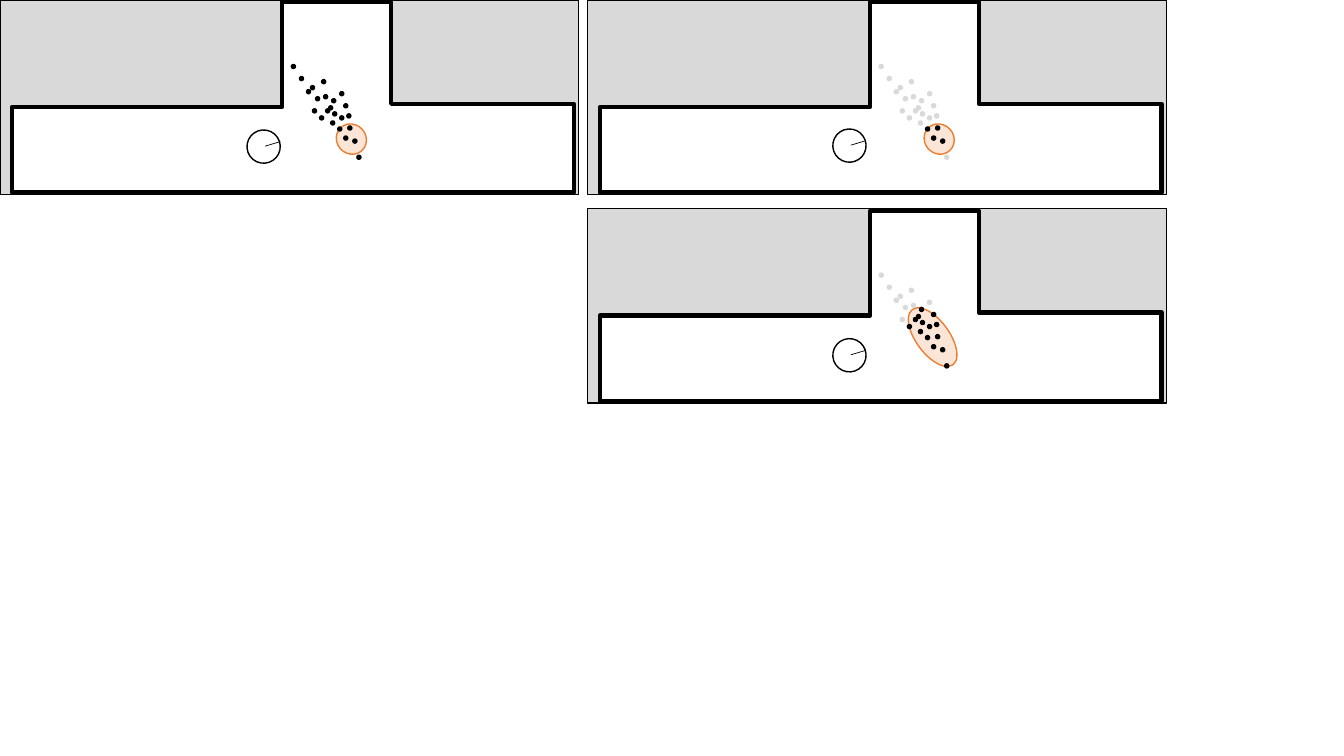
from pptx import Presentation
from pptx.dml.color import RGBColor
from pptx.enum.shapes import MSO_CONNECTOR, MSO_SHAPE
from pptx.oxml.ns import qn
from pptx.util import Inches, Pt
from lxml.etree import SubElement

THEME = {
    "ink": RGBColor.from_string("000000"),
    "muted": RGBColor.from_string("D9D9D9"),
    "floor": RGBColor.from_string("FFFFFF"),
    "zone": RGBColor.from_string("FBE5D6"),
    "zone_edge": RGBColor.from_string("ED7D31"),
    "wall": 3, "thin": 1, "hair": 0.5,
}

# Content: every length is in inches from the panel's top left corner
PANEL_W, PANEL_H = 5.74, 1.93
GAP_X, GAP_Y = 0.09, 0.14
DOT, ROBOT = 0.04, 0.33
CORRIDOR = [(0.12, 1.06), (2.8, 1.06), (2.8, 0.02), (3.88, 0.02),
            (3.88, 1.03), (5.69, 1.03), (5.69, 1.91), (0.12, 1.91)]
PARTICLES = [
    (3.28, 1.2), (3.08, 0.85), (2.97, 0.76), (3.26, 1.05), (3.3, 1.11),
    (3.35, 1.26), (3.37, 0.91), (3.44, 1.13), (3.13, 0.96), (3.41, 1.35),
    (3.21, 0.94), (3.17, 1.15), (3.41, 1.03), (2.89, 0.64), (3.5, 1.38),
    (3.54, 1.54), (3.29, 0.98), (3.1, 1.08), (3.45, 1.25), (3.23, 1.08),
    (3.37, 1.15), (3.19, 0.79), (3.04, 0.89),
]
EVERY = set(range(len(PARTICLES)))
CIRCLE_ZONE = (3.33, 1.235, 0.31, 0.29, 47.8)
PANELS = [
    {"column": 0, "row": 0, "zone": CIRCLE_ZONE, "robot": (2.45, 1.29),
     "active": EVERY},
    {"column": 1, "row": 0, "zone": CIRCLE_ZONE, "robot": (2.43, 1.28),
     "active": {5, 9, 14, 18}},
    {"column": 1, "row": 1, "zone": (3.08, 1.11, 0.68, 0.33, 53.7),
     "robot": (2.43, 1.29),
     "active": EVERY - {1, 2, 6, 8, 10, 13, 17, 21, 22}},
]


def paint(shape, fill, edge="ink", width="thin"):
    shape.shadow.inherit = False
    shape.fill.solid()
    shape.fill.fore_color.rgb = THEME[fill]
    shape.line.color.rgb = THEME[edge]
    shape.line.width = Pt(THEME[width])


def place(shapes, kind, x, y, w, h, fill, edge="ink", turn=0):
    shape = shapes.add_shape(kind, Inches(x), Inches(y), Inches(w), Inches(h))
    shape.rotation = turn
    paint(shape, fill, edge)


def draw_corridor(shapes, x, y):
    corners = [(Inches(x + dx), Inches(y + dy)) for dx, dy in CORRIDOR]
    outline = shapes.build_freeform(*corners[0])
    outline.add_line_segments(corners[1:], close=True)
    paint(outline.convert_to_shape(), "floor", width="wall")


def draw_robot(shapes, x, y):
    robot = shapes.add_group_shape().shapes
    place(robot, MSO_SHAPE.OVAL, x, y, ROBOT, ROBOT, "floor", turn=25.7)
    heading = robot.add_connector(
        MSO_CONNECTOR.STRAIGHT, Inches(x + 0.18), Inches(y + 0.16),
        Inches(x + ROBOT), Inches(y + 0.115))
    heading.line.color.rgb = THEME["ink"]
    heading.line.width = Pt(THEME["hair"])
    SubElement(heading._element.spPr, qn("a:effectLst"))


def draw_panel(shapes, panel):
    left = panel["column"] * (PANEL_W + GAP_X)
    top = panel["row"] * (PANEL_H + GAP_Y)

    # Map
    place(shapes, MSO_SHAPE.RECTANGLE, left, top, PANEL_W, PANEL_H, "muted")
    draw_corridor(shapes, left, top)

    # Selection zone
    x, y, w, h, turn = panel["zone"]
    place(shapes, MSO_SHAPE.OVAL, left + x, top + y, w, h,
          "zone", "zone_edge", turn)

    # Particles
    for number, (x, y) in enumerate(PARTICLES):
        tone = "ink" if number in panel["active"] else "muted"
        place(shapes, MSO_SHAPE.OVAL, left + x, top + y, DOT, DOT, tone, tone)

    # Robot with heading
    x, y = panel["robot"]
    draw_robot(shapes, left + x, top + y)


deck = Presentation()
deck.slide_width, deck.slide_height = Inches(13.33), Inches(7.5)
slide = deck.slides.add_slide(deck.slide_layouts[6])
for panel in PANELS:
    draw_panel(slide.shapes, panel)
deck.save("out.pptx")
